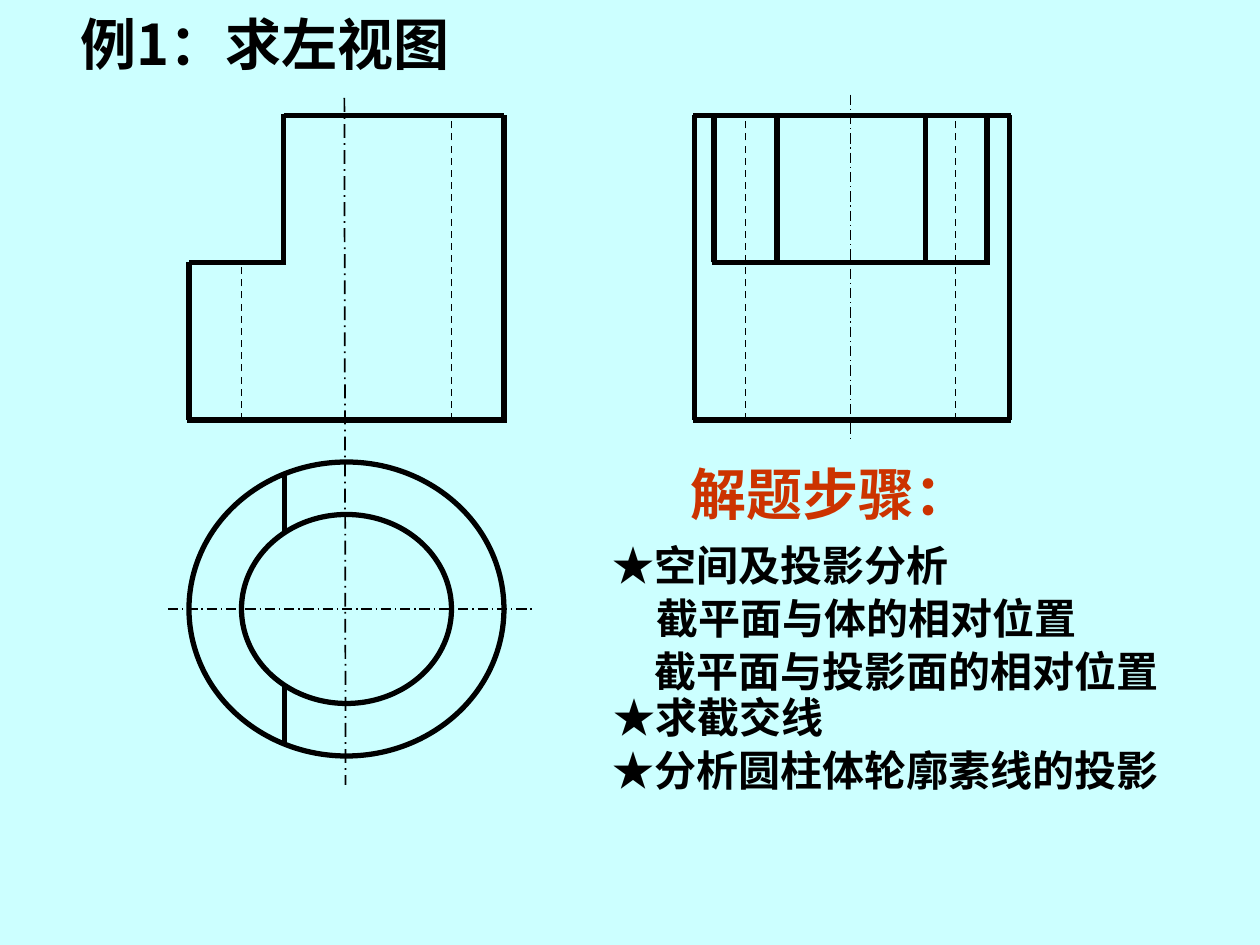
from pptx import Presentation
from pptx.dml.color import RGBColor
from pptx.enum.dml import MSO_LINE_DASH_STYLE as Dash
from pptx.enum.shapes import MSO_CONNECTOR as Connector, MSO_SHAPE as Shape
from pptx.enum.text import MSO_ANCHOR as Anchor, MSO_AUTO_SIZE as AutoSize, PP_ALIGN as Align
from pptx.oxml.ns import qn
from pptx.util import Pt
from lxml.etree import SubElement

COLOURS = {"page": "CCFFFF", "ink": "000000", "heading": "CC3300"}
PENS = {
    "outline": (3, None),
    "thin": (1, None),
    "hidden": (1, Dash.DASH),
    "axis": (1, Dash.LONG_DASH_DOT),
    "fine_axis": (0.75, Dash.LONG_DASH_DOT),
}


class Drawing:
    def __init__(self, page, font="Noto Sans CJK SC"):
        self.page = page
        self.font = font
        self.fill(page.background.fill, "page")

    def fill(self, target, colour):
        target.solid()
        target.fore_color.rgb = RGBColor.from_string(COLOURS[colour])

    def stroke(self, line, pen):
        width, dash = PENS[pen]
        self.fill(line.fill, "ink")
        line.width = Pt(width)
        if dash:
            line.dash_style = dash

    def line(self, x1, y1, x2, y2, pen="outline"):
        ends = map(Pt, (x1, y1, x2, y2))
        connector = self.page.shapes.add_connector(Connector.STRAIGHT, *ends)
        self.stroke(connector.line, pen)
        SubElement(connector._element.spPr, qn("a:effectLst"))

    def ellipse(self, centre_x, centre_y, width, height, colour=None):
        frame = (centre_x - width / 2, centre_y - height / 2, width, height)
        oval = self.page.shapes.add_shape(Shape.OVAL, *map(Pt, frame))
        oval.shadow.inherit = False
        self.stroke(oval.line, "outline")
        if colour:
            self.fill(oval.fill, colour)
        else:
            oval.fill.background()

    def text(self, words, left, top, width, height, size=24, colour="ink", wrap=True,
             anchor=Anchor.MIDDLE, align=Align.CENTER):
        box = self.page.shapes.add_textbox(*map(Pt, (left, top, width, height)))
        frame_format = {"word_wrap": wrap, "auto_size": AutoSize.NONE, "vertical_anchor": anchor}
        for name, value in frame_format.items():
            setattr(box.text_frame, name, value)
        para = box.text_frame.paragraphs[0]
        para.alignment = align
        span = para.add_run()
        span.text = words
        for name, value in {"name": self.font, "size": Pt(size), "bold": True}.items():
            setattr(span.font, name, value)
        self.fill(span.font.fill, colour)
        SubElement(span.font._element, qn("a:ea")).set("typeface", self.font)


def draw_front_and_top(drawing, top, step, base):
    drawing.line(162.5, 271, 162.5, 425.5)
    drawing.ellipse(198, 348, 120, 108, "page")
    drawing.ellipse(198, 348, 180, 168)
    for ends in (
        (107, base, 289.5, base),
        (288, top, 288, 241),
        (162, 65, 162, 151),
        (163.5, step, 108, step),
        (108, step, 108, base),
        (162, top, 288, top),
    ):
        drawing.line(*ends)
    drawing.line(196.8, 56, 197.5, 448.5, "axis")
    drawing.line(96, 348, 306, 348, "fine_axis")
    for x, y in ((138, step), (258, top)):
        drawing.line(x, base, x, y, "hidden")


def draw_left(drawing, top, step, base):
    left, right = 397, 576.7
    drawing.line(407, step, 566, step)
    for y in (top, base):
        drawing.line(left, y, right, y, "thin")
    for x in (left, right):
        drawing.line(x, top, x, base, "thin")
    drawing.line(486, 54, 486, 250.5, "fine_axis")
    for y in (top, base):
        drawing.line(396, y, 578, y)
    for x in (left, right):
        drawing.line(x, top, x, base)
    for x in (546, 426):
        drawing.line(x, base, x, top, "hidden")
    for x in (408, 564, 444, 529):
        drawing.line(x, step, x, top)


def main():
    deck = Presentation()
    deck.slide_width, deck.slide_height = Pt(720), Pt(540)
    drawing = Drawing(deck.slides.add_slide(deck.slide_layouts[6]))
    drawing.text("例1：求左视图", 39, 2, 240, 46, size=32, anchor=Anchor.TOP, align=Align.LEFT)
    levels = {"top": 66, "step": 150, "base": 240}
    draw_front_and_top(drawing, **levels)
    draw_left(drawing, **levels)
    for words, left, top, width in (
        ("★空间及投影分析", 337, 304.5, 218),
        ("★求截交线", 337.5, 391.7, 146),
        ("★分析圆柱体轮廓素线的投影", 337, 422, 338.5),
        ("截平面与体的相对位置", 368, 334.8, 254),
        ("截平面与投影面的相对位置", 367, 365.5, 302.5),
    ):
        drawing.text(words, left, top, width, 36, wrap=False)
    drawing.text("解题步骤：", 387.5, 258.5, 174, 46, size=32, colour="heading", wrap=False)
    deck.save("out.pptx")


if __name__ == "__main__":
    main()
